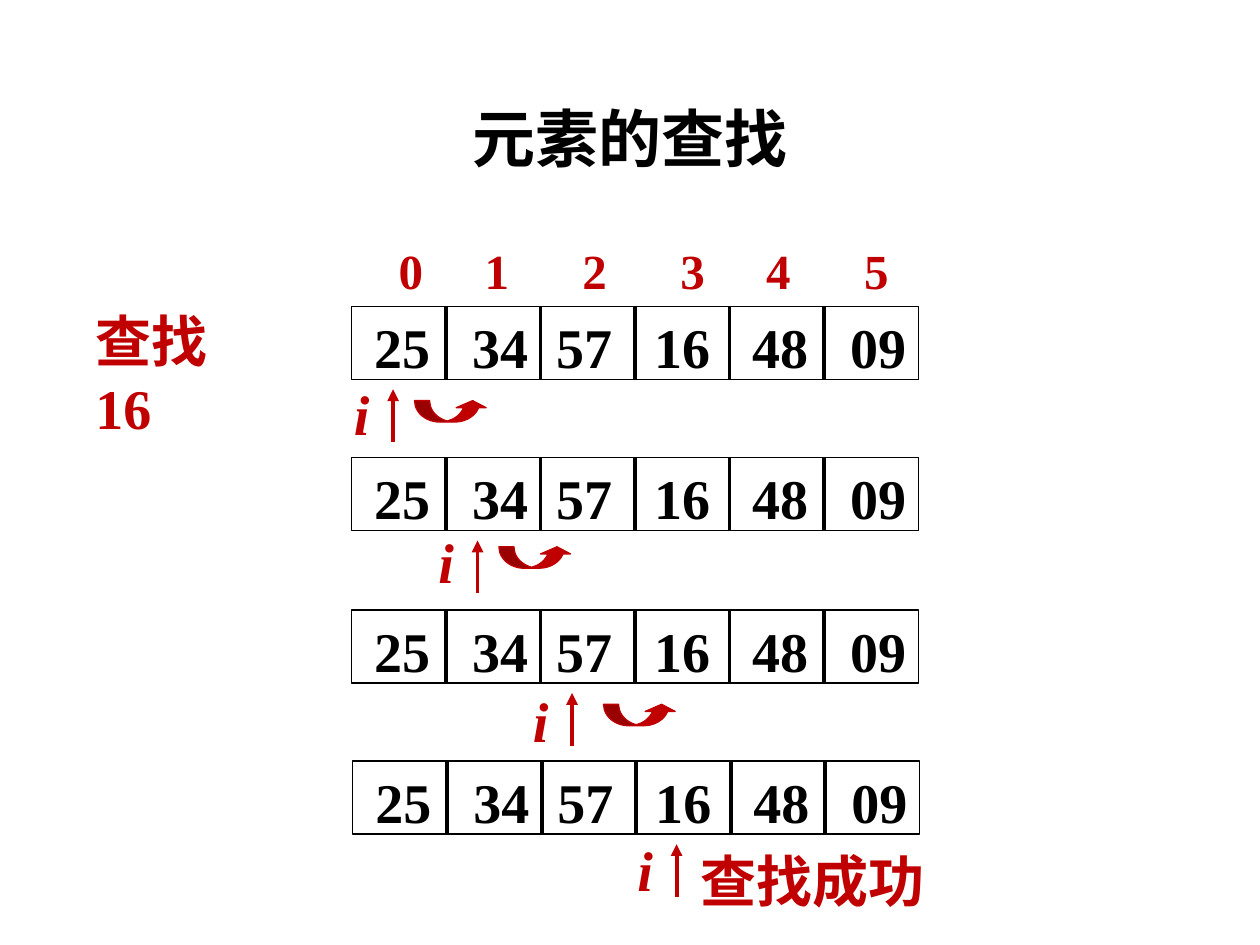
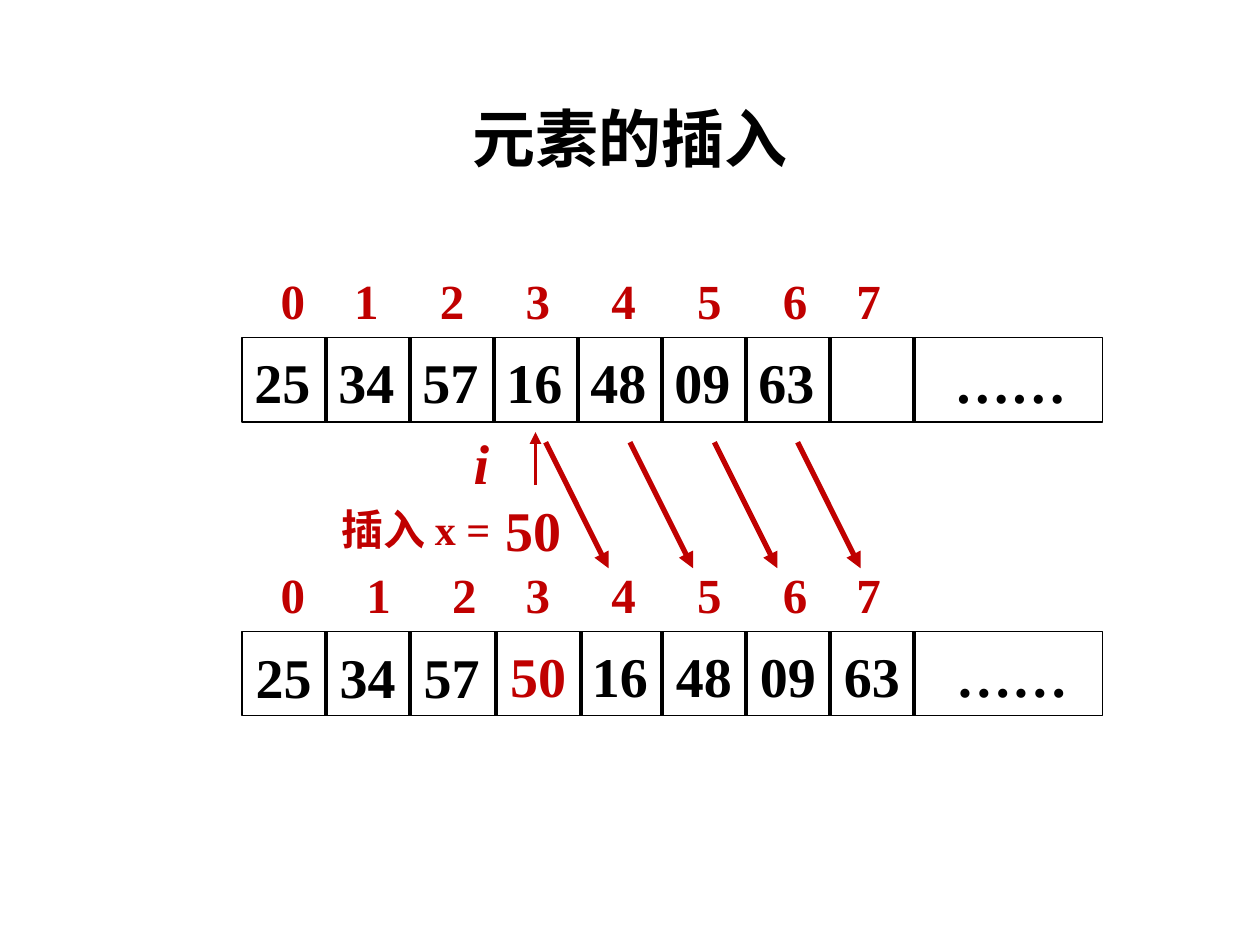
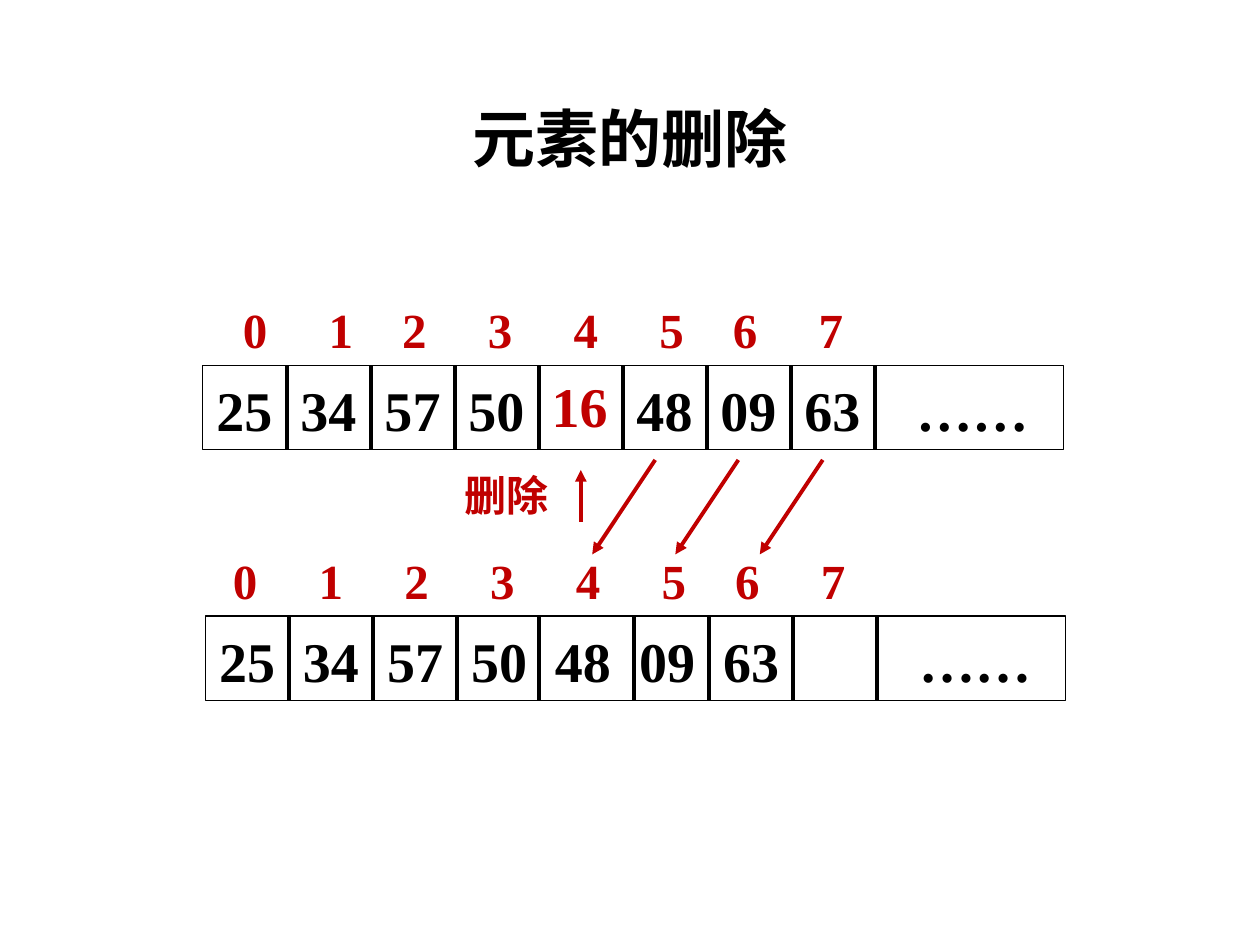
from dataclasses import dataclass, field
from itertools import accumulate

from lxml.etree import SubElement
from pptx import Presentation
from pptx.dml.color import RGBColor
from pptx.enum.shapes import MSO_CONNECTOR, MSO_SHAPE
from pptx.enum.text import MSO_ANCHOR, MSO_AUTO_SIZE, PP_ALIGN
from pptx.oxml.ns import qn
from pptx.slide import Slide
from pptx.util import Inches, Pt

BLACK = "000000"
RED = "C00000"
LATIN = "Times New Roman"
CJK = "Noto Sans CJK SC"
INSET = 0.1
CELL = 2 / 3
LONG_WIDTH = 6.83
LONG_HEIGHT = 0.67


@dataclass
class Label:
    text: str
    left: float
    top: float
    width: float
    height: float = 0.64
    size: int = 32
    color: str = RED
    italic: bool = False
    wrap: bool = False


@dataclass
class Series:
    text: str
    gaps: tuple[int, ...]
    left: float
    top: float
    width: float
    height: float = 0.64
    size: int = 32
    color: str = BLACK
    lead: int = 0


@dataclass
class Frame:
    left: float
    top: float
    width: float = LONG_WIDTH
    height: float = LONG_HEIGHT
    pitch: float = CELL
    dividers: int = 8
    moved: dict[int, float] = field(default_factory=dict)


@dataclass
class Arrow:
    start: tuple[float, float]
    end: tuple[float, float]
    weight: float = 2.25


@dataclass
class SearchStep:
    left: float
    top: float
    pointer: float
    name_top: float
    hop: tuple[float, float] | None = None


def rgb(value: str) -> RGBColor:
    return RGBColor.from_string(value)


def apply(target, values: dict) -> None:
    for key, value in values.items():
        setattr(target, key, value)


def style_run(run, size: int, color: str, latin: str = LATIN, italic: bool = False) -> None:
    apply(run.font, {"size": Pt(size), "name": latin, "bold": True, "italic": italic})
    run.font.color.rgb = rgb(color)
    SubElement(run.font._element, qn("a:ea")).set("typeface", CJK)


def add_text(slide: Slide, item: Label | Series, text: str, wrap: bool, italic: bool = False):
    box = slide.shapes.add_textbox(*map(Inches, (item.left, item.top, item.width, item.height)))
    apply(box.text_frame, {"word_wrap": wrap, "auto_size": MSO_AUTO_SIZE.SHAPE_TO_FIT_TEXT})
    paragraph = box.text_frame.paragraphs[0]
    paragraph.space_before = Pt(item.size * 0.2)
    run = paragraph.add_run()
    run.text = text
    style_run(run, item.size, item.color, italic=italic)
    return box.text_frame


def add_label(slide: Slide, label: Label) -> None:
    add_text(slide, label, label.text, label.wrap, label.italic)


def add_series(slide: Slide, series: Series) -> None:
    values = series.text.split()
    frame = add_text(slide, series, "\t".join(values), True)
    space = series.size / 4 / 72
    frame.margin_left = Inches(INSET + series.lead * space)
    steps = [(2 * len(value) + gap) * space for value, gap in zip(values, series.gaps)]
    tabs = SubElement(frame.paragraphs[0]._p.get_or_add_pPr(), qn("a:tabLst"))
    for stop in accumulate(steps):
        tab = SubElement(tabs, qn("a:tab"))
        tab.set("pos", str(int(Inches(stop))))
        tab.set("algn", "l")


def add_line(slide: Slide, start: tuple[float, float], end: tuple[float, float],
             color: str = BLACK, weight: float = 2.25):
    line = slide.shapes.add_connector(MSO_CONNECTOR.STRAIGHT, *map(Inches, (*start, *end)))
    line.line.color.rgb = rgb(color)
    line.line.width = Pt(weight)
    SubElement(line._element.spPr, qn("a:effectLst"))
    return line


def add_arrow(slide: Slide, arrow: Arrow) -> None:
    line = add_line(slide, arrow.start, arrow.end, RED, arrow.weight)
    SubElement(line.line._get_or_add_ln(), qn("a:tailEnd")).set("type", "triangle")


def add_frame(slide: Slide, frame: Frame) -> None:
    outline = slide.shapes.add_shape(
        MSO_SHAPE.RECTANGLE, *map(Inches, (frame.left, frame.top, frame.width, frame.height)))
    outline.shadow.inherit = False
    outline.fill.background()
    outline.line.color.rgb = rgb(BLACK)
    outline.line.width = Pt(0.75)
    for index in range(1, frame.dividers + 1):
        x = frame.moved.get(index, frame.left + index * frame.pitch)
        divider = add_line(slide, (x, frame.top), (x, frame.top + frame.height))
        if abs(x - frame.left - frame.width / 2) < 0.005:
            divider.begin_connect(outline, 0)
            divider.end_connect(outline, 2)


def add_hop(slide: Slide, left: float, top: float) -> None:
    hop = slide.shapes.add_shape(
        MSO_SHAPE.CURVED_UP_ARROW, *map(Inches, (left, top, 0.58, 0.17)))
    hop.shadow.inherit = False
    for index, value in enumerate((0.7, 1.4, 0.333)):
        hop.adjustments[index] = value
    hop.fill.solid()
    hop.fill.fore_color.rgb = rgb(RED)
    hop.line.color.rgb = rgb(RED)
    hop.line.width = Pt(0.75)


def index_row(count: int, gaps: tuple[int, ...], left: float, top: float,
              width: float, lead: int) -> Series:
    return Series(" ".join(map(str, range(count))), gaps, left, top, width, 0.57, 28, RED, lead)


def pointer_name(left: float, top: float) -> Label:
    return Label("i", left, top, 0.32, 0.63, italic=True)


DRAW = {Label: add_label, Series: add_series, Frame: add_frame, Arrow: add_arrow}


def draw(slide: Slide, items: list) -> None:
    for item in items:
        DRAW[type(item)](slide, item)


def add_titled_slide(deck, text: str) -> Slide:
    slide = deck.slides.add_slide(deck.slide_layouts[5])
    title = slide.shapes.title
    places = {"left": 0.69, "top": 0.4, "width": 8.62, "height": 1.45}
    apply(title, {key: Inches(value) for key, value in places.items()})
    title.text_frame.vertical_anchor = MSO_ANCHOR.MIDDLE
    paragraph = title.text_frame.paragraphs[0]
    apply(paragraph, {"alignment": PP_ALIGN.CENTER, "line_spacing": 0.9})
    run = paragraph.add_run()
    run.text = text
    style_run(run, 36, BLACK, CJK)
    return slide


def build_search(deck) -> None:
    slide = add_titled_slide(deck, "元素的查找")
    steps = [
        SearchStep(2.79, 2.43, 3.12, 2.96, (3.29, 3.18)),
        SearchStep(2.79, 3.63, 3.79, 4.14, (3.96, 4.34)),
        SearchStep(2.79, 4.84, 4.54, 5.4, (4.79, 5.59)),
        SearchStep(2.8, 6.04, 5.37, 6.58),
    ]
    for step in steps:
        draw(slide, [
            Arrow((step.pointer, step.top + 1.08), (step.pointer, step.top + 0.66)),
            Frame(step.left, step.top, 4.5, 0.58, 0.75, 5),
            Series("25 34 57 16 48 09", (3, 2, 3, 3, 3), step.left + 0.08, step.top, 4.49),
            pointer_name(step.pointer - 0.41, step.name_top),
        ])
        if step.hop:
            add_hop(slide, *step.hop)
    draw(slide, [
        index_row(6, (5, 6, 6, 5, 6), 2.87, 1.86, 4.52, 2),
        Label("查找 16", 0.66, 2.38, 1.4, wrap=True),
        Label("查找成功", 5.46, 6.67, 2.22, wrap=True),
    ])


def build_insertion(deck) -> None:
    slide = add_titled_slide(deck, "元素的插入")
    draw(slide, [
        Frame(1.92, 2.68),
        Series("25 34 57 16 48 09 63 ……", (2, 2, 2, 2, 2, 2, 10), 1.92, 2.71, 6.74),
        index_row(8, (4, 5, 5, 5, 5, 5, 4), 2.03, 2.1, 5.11, 1),
        Arrow((4.25, 3.85), (4.25, 3.43)),
        pointer_name(3.66, 3.35),
        Label("50", 3.91, 3.88, 0.65),
        Label("插入 x =", 2.61, 3.95, 1.49, 0.5, 24),
        Frame(1.92, 5.01, moved={3: 3.94, 4: 4.61}),
        Series("25 34 57", (2, 2), 1.93, 5.05, 6.74),
        Label("50", 3.95, 5.04, 0.65),
        Series("16 48 09 63 ……", (2, 2, 2, 4), 4.6, 5.04, 4.2),
        index_row(8, (5, 5, 4, 5, 5, 5, 4), 2.03, 4.43, 5.31, 1),
    ])
    for x in (4.33, 5, 5.67, 6.33):
        add_arrow(slide, Arrow((x, 3.51), (x + 0.5, 4.51), 3))


def build_deletion(deck) -> None:
    slide = add_titled_slide(deck, "元素的删除")
    draw(slide, [
        Frame(1.61, 2.9),
        Series("25 34 57 50 48 09 63 ……", (2, 2, 2, 8, 2, 2, 4), 1.62, 2.93, 6.74),
        index_row(8, (5, 4, 5, 5, 5, 4, 5), 1.73, 2.33, 5.21, 1),
        Label("16", 4.28, 2.9, 0.65),
        Arrow((4.61, 4.14), (4.61, 3.73)),
        Label("删除", 3.59, 3.68, 0.88, 0.5, 24),
        Frame(1.63, 4.89, moved={4: 4.28, 5: 5.03}),
        Series("25 34 57 50 48 09 63 ……", (2, 2, 2, 2, 2, 2, 10), 1.64, 4.92, 6.74),
        index_row(8, (5, 5, 5, 5, 5, 4, 5), 1.75, 4.32, 5.21, 0),
    ])
    for x in (5.2, 5.86, 6.53):
        add_arrow(slide, Arrow((x, 3.65), (x - 0.5, 4.4)))


def main() -> None:
    deck = Presentation()
    apply(deck, {"slide_width": Inches(10), "slide_height": Inches(7.5)})
    build_search(deck)
    build_insertion(deck)
    build_deletion(deck)
    deck.save("out.pptx")


if __name__ == "__main__":
    main()
